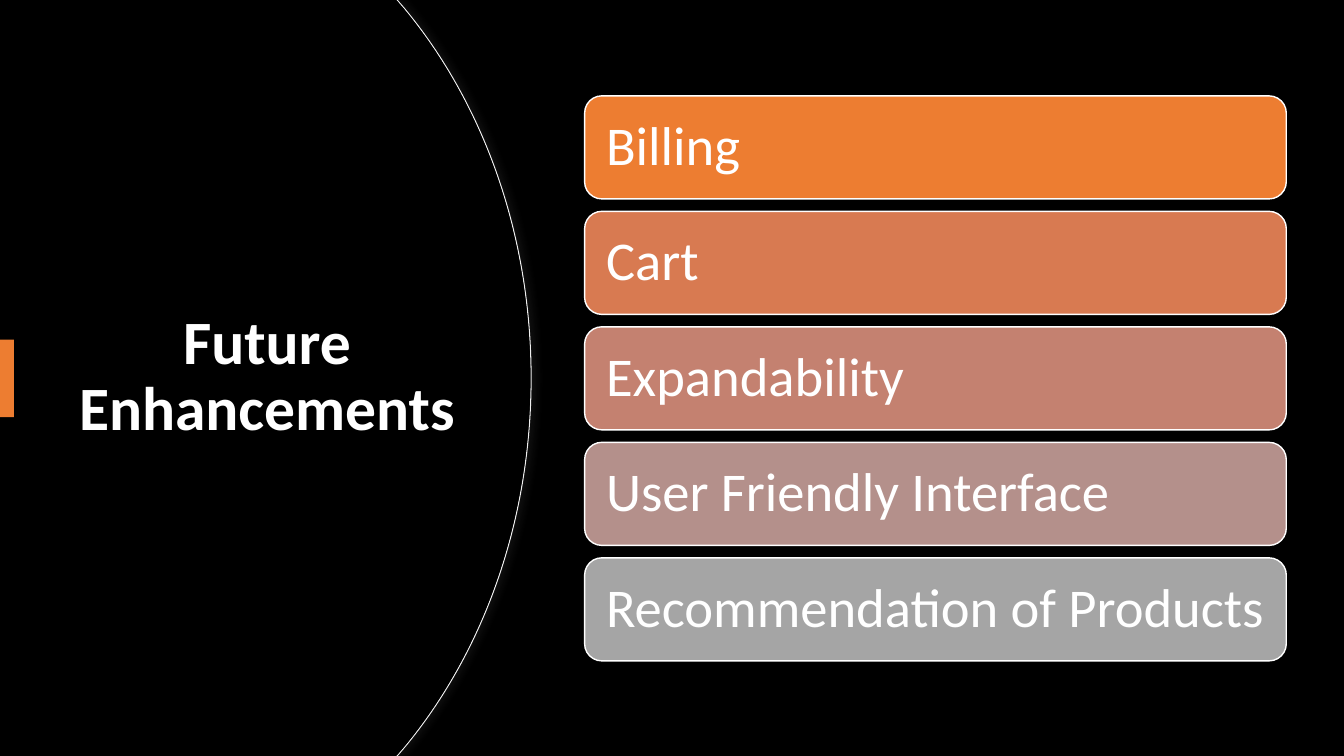
"""Build the Future Enhancements slide."""
from dataclasses import dataclass

from lxml import etree
from pptx import Presentation, util as u
from pptx.dml.color import RGBColor
from pptx.enum import shapes, text
from pptx.oxml.ns import qn


@dataclass(frozen=True)
class Theme:
    """Colours, font and type sizes in points."""
    background: str = "000000"
    ink: str = "FFFFFF"
    accent: str = "ED7D31"
    outline: str = "EFEFEF"
    glow: str = "D9D9D9"
    bars: tuple = ("ED7D31", "D87A51", "C48170", "B4908B", "A5A5A5")
    font: str = "Calibri"
    title_size: int = 44
    bar_size: int = 39


WIDTH, HEIGHT = 960, 540
ITEMS = ("Billing", "Cart", "Expandability", "User Friendly Interface",
         "Recommendation of Products")


def write_text(shape, content, *, font, size, color, bold=False,
               align=text.PP_ALIGN.LEFT, insets=(7.2, 3.6, 7.2, 3.6)):
    """Write one vertically centred paragraph into a shape."""
    frame = shape.text_frame
    frame.word_wrap = True
    frame.vertical_anchor = text.MSO_ANCHOR.MIDDLE
    (frame.margin_left, frame.margin_top,
     frame.margin_right, frame.margin_bottom) = map(u.Pt, insets)
    paragraph = frame.paragraphs[0]
    paragraph.alignment = align
    paragraph.line_spacing = 0.9
    run = paragraph.add_run()
    run.text = content
    run.font.name = font
    run.font.size = u.Pt(size)
    run.font.bold = bold
    run.font.color.rgb = RGBColor.from_string(color)


def panel_outline(right):
    """Return the corners and curve controls of a panel ending at the given x."""
    upper = [(0, 0), (right - 95.7, 0), (right - 90.7, 5.8),
             (right - 34.5, 73.4), (right, 167)]
    lower = [(x, HEIGHT - y) for x, y in reversed(upper)]
    return [*upper, (right, HEIGHT / 2), *lower]


def bend(segments):
    """Turn three consecutive line segments into one cubic curve."""
    curve = etree.Element(qn("a:cubicBezTo"))
    segments[0].addprevious(curve)
    for segment in segments:
        curve.append(segment[0])
        segment.getparent().remove(segment)


class SlideBuilder:
    """Hold the theme and the current slide."""

    def __init__(self, slide, theme):
        """Keep the slide and paint its background."""
        self.slide, self.theme = slide, theme
        fill = slide.background.fill
        fill.solid()
        fill.fore_color.rgb = RGBColor.from_string(theme.background)

    def paint(self, shape, fill, line=None, line_width=1):
        """Set fill and line and drop the default shadow."""
        shape.shadow.inherit = False
        shape.fill.solid()
        shape.fill.fore_color.rgb = RGBColor.from_string(fill)
        if line:
            shape.line.color.rgb = RGBColor.from_string(line)
            shape.line.width = u.Pt(line_width)
        else:
            shape.line.fill.background()
        return shape

    def box(self, kind, bounds, fill, line=None):
        """Add a preset shape."""
        shape = self.slide.shapes.add_shape(kind, *map(u.Pt, bounds))
        return self.paint(shape, fill, line)

    def panel(self, right, line=None):
        """Add a curved panel."""
        points = [(u.Pt(x), u.Pt(y)) for x, y in panel_outline(right)]
        builder = self.slide.shapes.build_freeform(*points[0])
        builder.add_line_segments(points[1:], close=True)
        shape = builder.convert_to_shape()
        segments = list(shape._element.spPr.iter(qn("a:lnTo")))
        for start in (2, 5):
            bend(segments[start:start + 3])
        return self.paint(shape, self.theme.background, line, 0.75)

    def glow(self, shape):
        """Give a shape a faint light shadow to its right."""
        effects = shape._element.spPr.find(qn("a:effectLst"))
        shadow = etree.SubElement(effects, qn("a:outerShdw"), blurRad=str(u.Pt(7)),
                                  dist=str(u.Pt(3)), dir="0", algn="l", rotWithShape="0")
        color = etree.SubElement(shadow, qn("a:srgbClr"), val=self.theme.glow)
        etree.SubElement(color, qn("a:alpha"), val="7000")

    def title(self, content, bounds):
        """Add the bold centred title."""
        shape = self.slide.shapes.add_textbox(*map(u.Pt, bounds))
        write_text(shape, content, font=self.theme.font, size=self.theme.title_size,
                   color=self.theme.ink, bold=True, align=text.PP_ALIGN.CENTER)

    def bar(self, content, bounds, fill):
        """Add a rounded bar with its label."""
        shape = self.box(shapes.MSO_SHAPE.ROUNDED_RECTANGLE, bounds, fill, self.theme.ink)
        write_text(shape, content, font=self.theme.font, size=self.theme.bar_size,
                   color=self.theme.ink, insets=(11.7, 8.6, 8, 8))


def main():
    """Create and save the presentation."""
    presentation = Presentation()
    presentation.slide_width, presentation.slide_height = u.Pt(WIDTH), u.Pt(HEIGHT)
    theme = Theme()
    builder = SlideBuilder(presentation.slides.add_slide(presentation.slide_layouts[6]), theme)
    builder.glow(builder.panel(379.4, theme.outline))
    builder.panel(378.7)
    builder.title("Future Enhancements", (49, 91.4, 283.7, 356.4))
    builder.box(shapes.MSO_SHAPE.RECTANGLE, (0, 242.6, 10, 55.4), theme.accent)
    for index, (item, color) in enumerate(zip(ITEMS, theme.bars)):
        builder.bar(item, (417.6, 68.5 + 82.5 * index, 501.2, 73.6), color)
    presentation.save("out.pptx")


if __name__ == "__main__":
    main()
